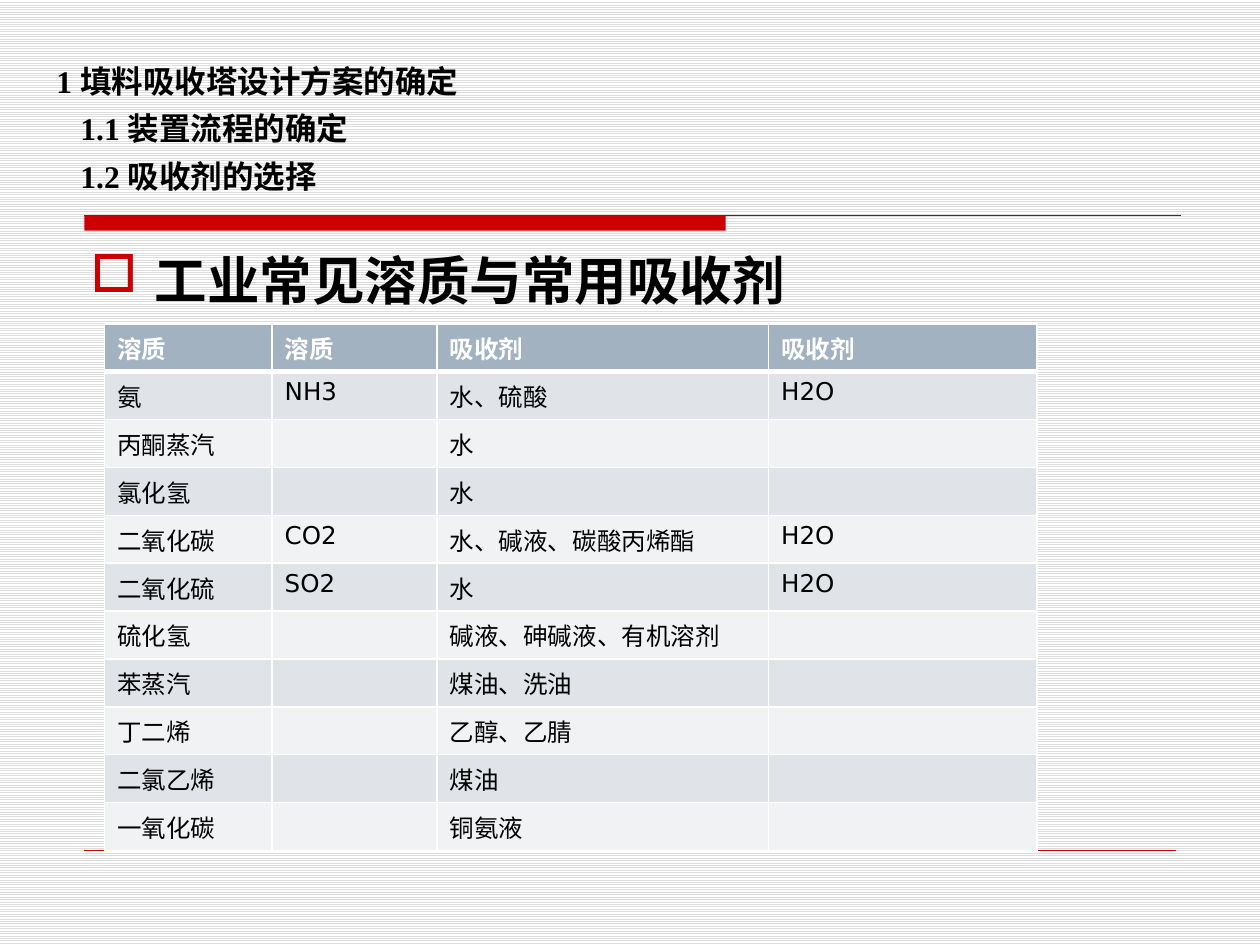
"""Builds a slide on common industrial solutes and their absorbents."""
from lxml.etree import SubElement
from pptx import Presentation
from pptx.dml.color import RGBColor
from pptx.enum.dml import MSO_PATTERN
from pptx.enum.shapes import MSO_CONNECTOR, MSO_SHAPE
from pptx.oxml.ns import qn
from pptx.util import Inches, Pt

COLORS = {
    "red": "CC0000", "rule": "333333", "text": "000000", "white": "FFFFFF",
    "stripe": "DDDDDD", "header": "A3B2C1", "odd": "E0E4E9", "even": "F0F2F4",
}
SERIF, SANS = "Times New Roman", "DejaVu Sans"
OUTLINE = [
    ("1 填料吸收塔设计方案的确定", 0),
    ("1.1 装置流程的确定", 0.19),
    ("1.2 吸收剂的选择", 0.19),
]
HEADING = "工业常见溶质与常用吸收剂"
ROWS = [
    ("溶质", "溶质", "吸收剂", "吸收剂"),
    ("氨", "NH3", "水、硫酸", "H2O"),
    ("丙酮蒸汽", "", "水", ""),
    ("氯化氢", "", "水", ""),
    ("二氧化碳", "CO2", "水、碱液、碳酸丙烯酯", "H2O"),
    ("二氧化硫", "SO2", "水", "H2O"),
    ("硫化氢", "", "碱液、砷碱液、有机溶剂", ""),
    ("苯蒸汽", "", "煤油、洗油", ""),
    ("丁二烯", "", "乙醇、乙腈", ""),
    ("二氯乙烯", "", "煤油", ""),
    ("一氧化碳", "", "铜氨液", ""),
]
COLUMN_WIDTHS = [1.33, 1.31, 2.63, 2.13]
ROW_HEIGHT = 0.38


def rgb(name):
    return RGBColor.from_string(COLORS[name])


def write(paragraph, text, size, font=SERIF, color="text", bold=False):
    if not text:
        SubElement(paragraph._p, qn("a:endParaRPr"), sz=str(size * 100))
        return
    span = paragraph.add_run()
    span.text = text
    span.font.size, span.font.name, span.font.bold = Pt(size), font, bold
    span.font.color.rgb = rgb(color)


def add_box(page, left, top, width, height):
    box = page.shapes.add_textbox(*map(Inches, (left, top, width, height)))
    box.text_frame.word_wrap = True
    return box.text_frame


def add_rule(page, left, right, top, color, width):
    rule = page.shapes.add_connector(
        MSO_CONNECTOR.STRAIGHT, *map(Inches, (left, top, right, top)))
    rule.line.color.rgb = rgb(color)
    rule.line.width = Pt(width)
    SubElement(rule._element.spPr, qn("a:effectLst"))


def add_bar(page):
    bar = page.shapes.add_shape(
        MSO_SHAPE.RECTANGLE, *map(Inches, (0.67, 1.71, 5.09, 0.12)))
    bar.shadow.inherit = False
    bar.fill.solid()
    bar.fill.fore_color.rgb = rgb("red")
    bar.line.fill.background()


def add_heading(page):
    paragraph = add_box(page, 0.62, 1.92, 8.75, 0.65).paragraphs[0]
    paragraph.space_before = Pt(6)
    properties = paragraph._p.get_or_add_pPr()
    properties.set("marL", str(Inches(0.51)))
    properties.set("indent", str(-Inches(0.51)))
    color = SubElement(properties, qn("a:buClr"))
    SubElement(color, qn("a:srgbClr"), val=COLORS["red"])
    SubElement(properties, qn("a:buChar"), char="□")
    write(paragraph, HEADING, 30, bold=True)


def add_outline(page):
    frame = add_box(page, 0.35, 0.37, 8.93, 1.24)
    for index, (text, indent) in enumerate(OUTLINE):
        paragraph = frame.add_paragraph() if index else frame.paragraphs[0]
        paragraph.line_spacing = 1.25
        paragraph._p.get_or_add_pPr().set("marL", str(Inches(indent)))
        write(paragraph, text, 18, bold=True)


def set_borders(cell, widths):
    for side, width in widths.items():
        line = SubElement(cell._tc.get_or_add_tcPr(), qn(f"a:ln{side}"),
                          w=str(Pt(width)))
        fill = SubElement(line, qn("a:solidFill"))
        SubElement(fill, qn("a:srgbClr"), val=COLORS["white"])


def add_table(page):
    table = page.shapes.add_table(
        len(ROWS), len(COLUMN_WIDTHS), Inches(0.83), Inches(2.57),
        Inches(sum(COLUMN_WIDTHS)), Inches(ROW_HEIGHT * len(ROWS))).table
    for column, width in zip(table.columns, COLUMN_WIDTHS):
        column.width = Inches(width)
    for index, values in enumerate(ROWS):
        is_header = index == 0
        shade = "header" if is_header else "odd" if index % 2 else "even"
        widths = {"L": 1, "R": 1, "T": 3 if index == 1 else 1,
                  "B": 3 if is_header else 1}
        table.rows[index].height = Inches(ROW_HEIGHT)
        for cell, text in zip(table.rows[index].cells, values):
            set_borders(cell, widths)
            cell.fill.solid()
            cell.fill.fore_color.rgb = rgb(shade)
            write(cell.text_frame.paragraphs[0], text, 14, font=SANS,
                  color="white" if is_header else "text", bold=is_header)


def main():
    deck = Presentation()
    deck.slide_width, deck.slide_height = Inches(10), Inches(7.5)
    page = deck.slides.add_slide(deck.slide_layouts[6])
    backdrop = page.background.fill
    backdrop.patterned()
    backdrop.pattern = MSO_PATTERN.LIGHT_HORIZONTAL
    backdrop.fore_color.rgb = rgb("stripe")
    backdrop.back_color.rgb = rgb("white")
    add_rule(page, 0.67, 9.37, 1.71, "rule", 0.75)
    add_bar(page)
    add_rule(page, 0.67, 9.33, 6.75, "red", 0.25)
    add_heading(page)
    add_table(page)
    add_outline(page)
    deck.save("out.pptx")


if __name__ == "__main__":
    main()
